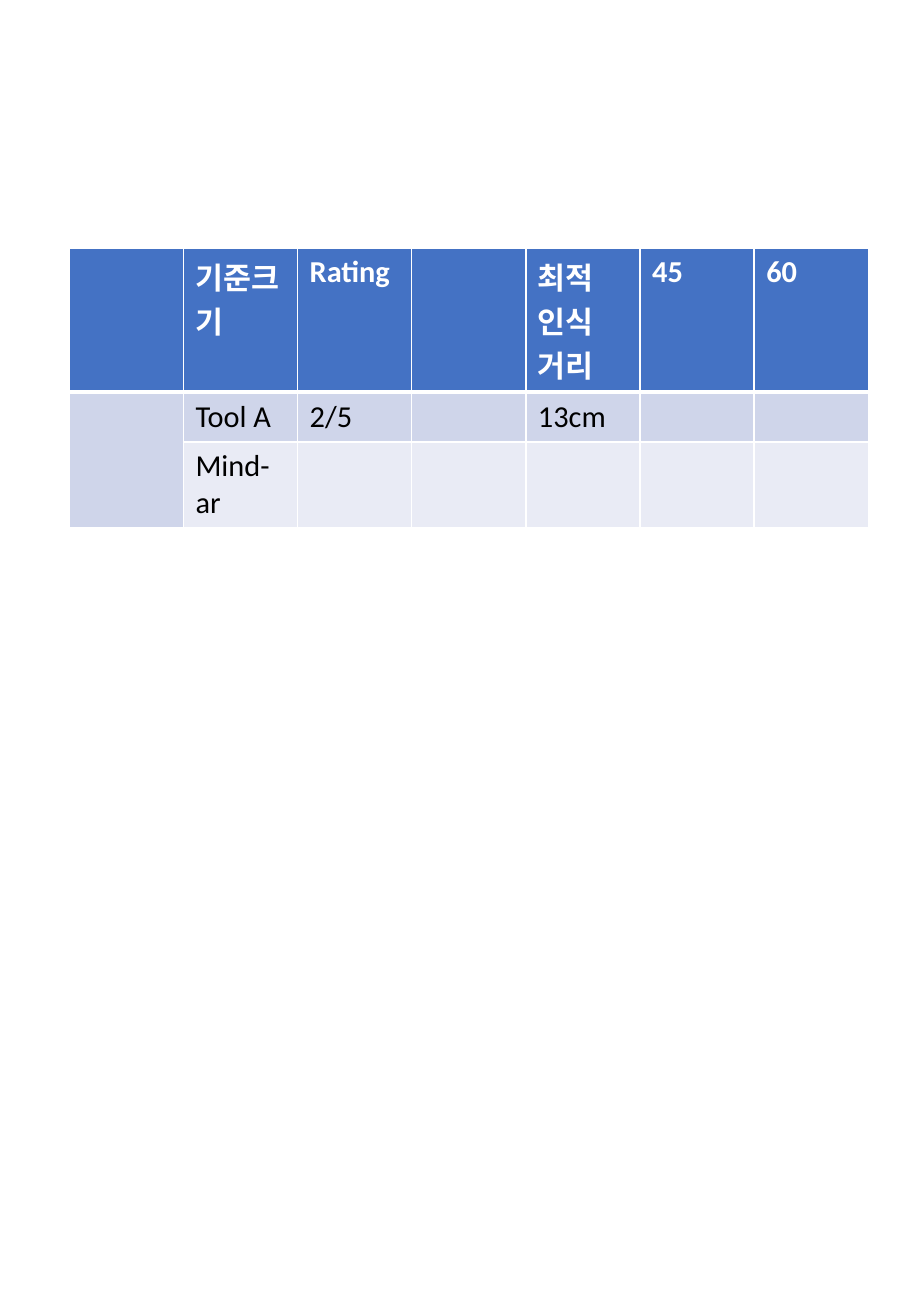
"""Build a portrait slide with a table of recognition distances."""
from dataclasses import dataclass

from pptx import Presentation
from pptx.dml.color import RGBColor
from pptx.oxml import parse_xml
from pptx.oxml.ns import nsdecls
from pptx.table import _Cell
from pptx.util import Emu, Pt

COLORS = {
    "white": "FFFFFF",
    "black": "000000",
    "head": "4472C4",
    "band": "CFD5EA",
    "pale": "E9EBF5",
}
SCALE = 9144
WIDE, TALL = 750, 1083
LEFT, TOP = 57, 204
COL, ROW = 94, 41


@dataclass
class Line:
    texts: list[str]
    fill: str
    ink: str = "black"
    bold: bool = False
    upper: int = 1
    lower: int = 1


LINES = [
    Line(["", "기준크기", "Rating", "", "최적 인식 거리", "45", "60"],
         "head", ink="white", bold=True, lower=3),
    Line(["", "Tool A", "2/5", "", "13cm", "", ""], "band", upper=3),
    Line(["", "Mind-ar", "", "", "", "", ""], "pale"),
]


def px(size: int) -> Emu:
    return Emu(size * SCALE)


def tint(name: str) -> RGBColor:
    return RGBColor.from_string(COLORS[name])


def write(cell: _Cell, text: str, *, ink: str, bold: bool,
          size: int = 18, face: str = "Calibri") -> None:
    part = cell.text_frame.paragraphs[0]
    part.font.size = Pt(size)
    if text:
        run = part.add_run()
        run.text = text
        run.font.name = face
        run.font.size = Pt(size)
        run.font.bold = bold
        run.font.color.rgb = tint(ink)


def edge(cell: _Cell, upper: int, lower: int) -> None:
    props = cell._tc.get_or_add_tcPr()
    sides = {"lnL": 1, "lnR": 1, "lnT": upper, "lnB": lower}
    for spot, (side, width) in enumerate(sides.items()):
        props.insert(spot, parse_xml(
            f'<a:{side} {nsdecls("a")} w="{Pt(width)}"><a:solidFill>'
            f'<a:srgbClr val="{COLORS["white"]}"/></a:solidFill></a:{side}>'))


def main() -> None:
    deck = Presentation()
    deck.slide_width, deck.slide_height = px(WIDE), px(TALL)
    slide = deck.slides.add_slide(deck.slide_layouts[6])
    cols, rows = len(LINES[0].texts), len(LINES)
    table = slide.shapes.add_table(
        rows, cols, px(LEFT), px(TOP), px(COL * cols), px(ROW * rows)).table
    for col in table.columns:
        col.width = px(COL)
    for row, line in enumerate(LINES):
        table.rows[row].height = px(ROW)
        for col, text in enumerate(line.texts):
            cell = table.cell(row, col)
            cell.fill.solid()
            cell.fill.fore_color.rgb = tint(line.fill)
            edge(cell, line.upper, line.lower)
            write(cell, text, ink=line.ink, bold=line.bold)
    table.cell(1, 0).merge(table.cell(2, 0))
    deck.save("out.pptx")


if __name__ == "__main__":
    main()
